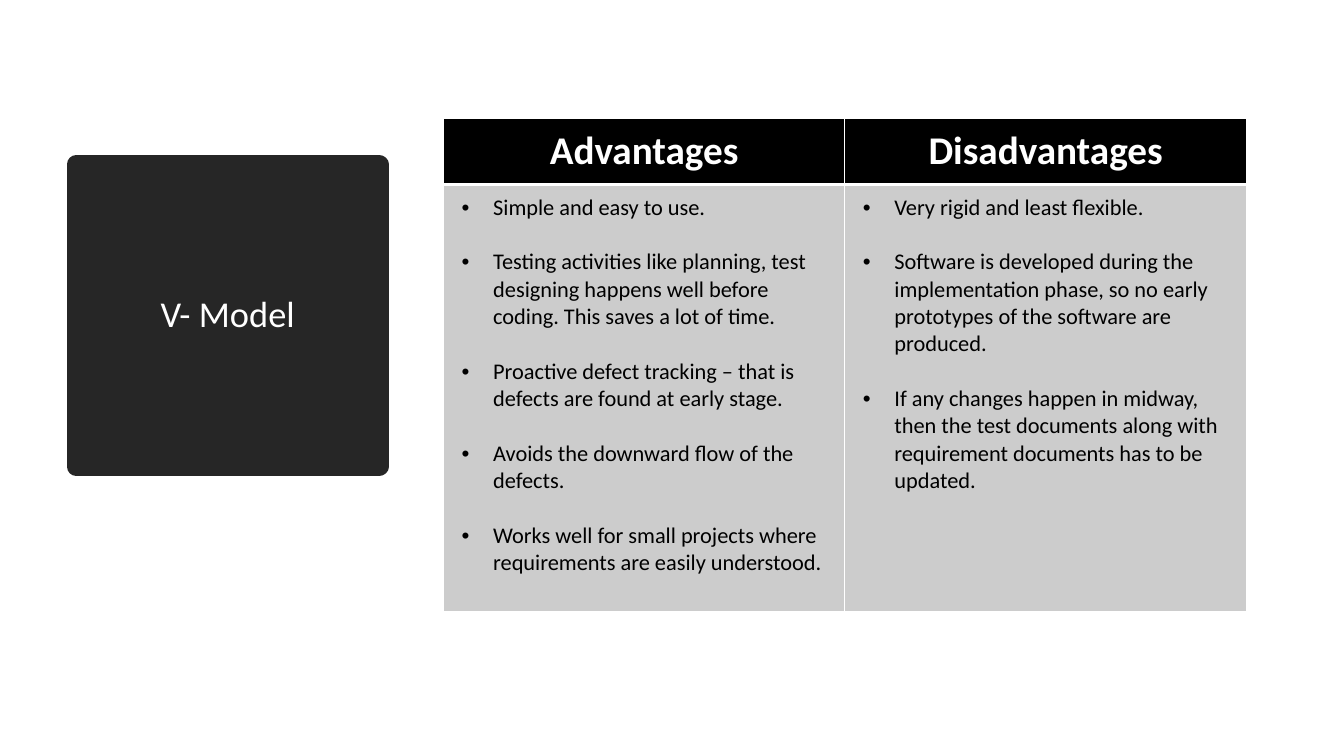
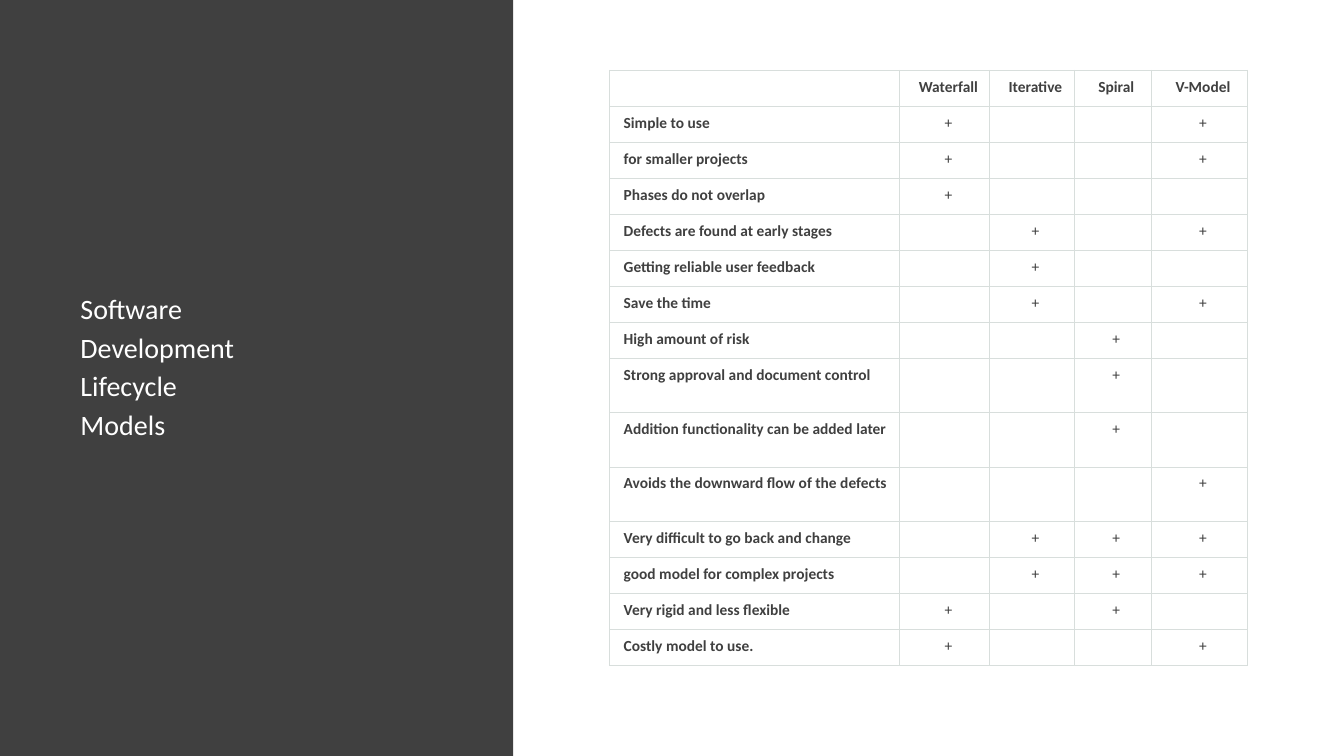
from pptx import Presentation
from pptx.dml.color import RGBColor as RGB
from pptx.enum.shapes import MSO_SHAPE as SHAPE
from pptx.enum.text import MSO_ANCHOR as ANCHOR, PP_ALIGN as ALIGN
from pptx.oxml.ns import qn
from pptx.util import Pt
from lxml.etree import SubElement

# Content
TITLE = "V- Model"
PROS_CONS = {
    "Advantages": [
        "Simple and easy to use.",
        "Testing activities like planning, test designing\u00a0happens well before "
        "coding. This saves a lot of time.",
        "Proactive defect tracking – that is defects are found at early stage.",
        "Avoids the downward flow of the defects.",
        "Works well for small projects where requirements are easily understood.",
    ],
    "Disadvantages": [
        "Very rigid and least flexible.",
        "Software is developed during the implementation phase, so no early "
        "prototypes of the software are produced.",
        "If any changes happen in midway, then the test documents along with "
        "requirement documents has to be updated.",
    ],
}
PANEL_LINES = ["Software", "Development", "Lifecycle", "Models"]
MODELS = ["Waterfall", "Iterative", "Spiral", "V-Model"]
TRAITS = [  # trait, one mark per model
    ("Simple to use", "+..+"),
    ("for smaller projects", "+..+"),
    ("Phases do not overlap", "+..."),
    ("Defects are found at early stages", ".+.+"),
    ("Getting reliable user feedback", ".+.."),
    ("Save the time", ".+.+"),
    ("High amount of risk", "..+."),
    ("Strong approval and document control", "..+."),
    ("Addition functionality can be added later", "..+."),
    ("Avoids the downward flow of the defects", "...+"),
    ("Very difficult to go back and change", ".+++"),
    ("good model for complex projects", ".+++"),
    ("Very rigid and less flexible", "+.+."),
    ("Costly model to use.", "+..+"),
]
TALL_ROWS = (8, 9, 10)

# Shared style
COLORS = {"white": "FFFFFF", "black": "000000", "box": "262626",
          "panel": "404040", "body": "CCCCCC", "grid": "D8DEDC"}
FONT = "Calibri"
SIDES = ("L", "R", "T", "B")

prs = Presentation()
prs.slide_width, prs.slide_height = Pt(960), Pt(540)


def color(name):
    return RGB.from_string(COLORS[name])


def add_slide():
    return prs.slides.add_slide(prs.slide_layouts[6])


def write(p, text, size, name, bold=False, **fmt):
    """Put text in a paragraph; fmt holds paragraph format values."""
    for key, value in fmt.items():
        setattr(p, key, value)
    if not text:
        p._p.get_or_add_endParaRPr().set("sz", str(size * 100))
        return
    r = p.add_run()
    r.text = text
    for key, value in {"name": FONT, "size": Pt(size), "bold": bold}.items():
        setattr(r.font, key, value)
    r.font.color.rgb = color(name)


def add_paragraphs(tf, texts, *style, **fmt):
    for i, text in enumerate(texts):
        p = tf.paragraphs[0] if i == 0 else tf.add_paragraph()
        write(p, text, *style, **fmt)


def add_block(s, box, fill, line_width=0):
    sp = s.shapes.add_shape(SHAPE.RECTANGLE, *map(Pt, box))
    sp.shadow.inherit = False
    sp.fill.solid()
    sp.fill.fore_color.rgb = color(fill)
    if line_width:
        sp.line.color.rgb = color(fill)
        sp.line.width = Pt(line_width)
    else:
        sp.line.fill.background()
    return sp


def add_grid(s, left, top, widths, heights):
    tbl = s.shapes.add_table(len(heights), len(widths), Pt(left), Pt(top),
                             Pt(sum(widths)), Pt(sum(heights))).table
    tbl.first_row = tbl.horz_banding = False
    for col, width in zip(tbl.columns, widths):
        col.width = Pt(width)
    for row, height in zip(tbl.rows, heights):
        row.height = Pt(height)
    return tbl


def style_cell(cell, margins, line, widths, fill=None):
    """Set margins and border widths (left, right, top, bottom), then the fill."""
    for side, margin in zip(("left", "right", "top", "bottom"), margins):
        setattr(cell, "margin_" + side, Pt(margin))
    tc_pr = cell._tc.get_or_add_tcPr()
    for side, width in zip(SIDES, widths):
        ln = SubElement(tc_pr, qn("a:ln" + side), w=str(Pt(width)))
        SubElement(SubElement(ln, qn("a:solidFill")), qn("a:srgbClr"), val=COLORS[line])
    if fill:
        cell.fill.solid()
        cell.fill.fore_color.rgb = color(fill)
    else:
        cell.fill.background()


def add_bullet(p, indent):
    p_pr = p._p.get_or_add_pPr()
    p_pr.set("marL", str(Pt(indent)))
    p_pr.set("indent", str(-Pt(indent)))
    SubElement(p_pr, qn("a:buFont"), typeface="Arial")
    SubElement(p_pr, qn("a:buChar"), char="•")


# Slide 1: title box
s = add_slide()
tf = add_block(s, (54.7, 117.4, 216, 216), "box", 13.75).text_frame
tf.word_wrap, tf.vertical_anchor = True, ANCHOR.MIDDLE
add_paragraphs(tf, [TITLE], 26, "white", alignment=ALIGN.CENTER, line_spacing=0.9)

# Slide 1: advantages and disadvantages
tbl = add_grid(s, 316.8, 84.6, (286.6, 287), (47, 305))
margins = (13, 13, 6.5, 6.5)
for c, (heading, points) in enumerate(PROS_CONS.items()):
    head, body = tbl.cell(0, c), tbl.cell(1, c)
    style_cell(head, margins, "white", (1, 1, 1, 3), "black")
    style_cell(body, margins, "white", (1, 1, 3, 1), "body")
    add_paragraphs(head.text_frame, [heading], 28, "white", True, alignment=ALIGN.CENTER)
    add_paragraphs(body.text_frame, points, 16, "black", space_after=Pt(19.5))
    for p in body.text_frame.paragraphs:
        add_bullet(p, 22.5)

# Slide 2: side panel
s = add_slide()
add_block(s, (0, 0, 366.5, 540), "panel")
tf = s.shapes.add_textbox(Pt(50.4), Pt(207.4), Pt(265), Pt(269.3)).text_frame
tf.word_wrap = True
add_paragraphs(tf, PANEL_LINES, 20, "white", line_spacing=0.9, space_after=Pt(6))

# Slide 2: comparison of models
rows = [["", *MODELS]] + [[trait, *marks.replace(".", " ")] for trait, marks in TRAITS]
heights = [38.8 if i in TALL_ROWS else 25.75 for i in range(len(rows))]
tbl = add_grid(s, 435.4, 50.2, (207.4, 64.2, 60.2, 55.4, 68.4), heights)
for i, row in enumerate(rows):
    for c, text in enumerate(row):
        cell = tbl.cell(i, c)
        style_cell(cell, (10.1, 5, 5, 5), "grid", [0.75] * 4)
        add_paragraphs(cell.text_frame, [text.strip()], 11, "panel", i == 0 or c == 0,
                       alignment=ALIGN.CENTER if c else ALIGN.LEFT)

prs.save("out.pptx")
